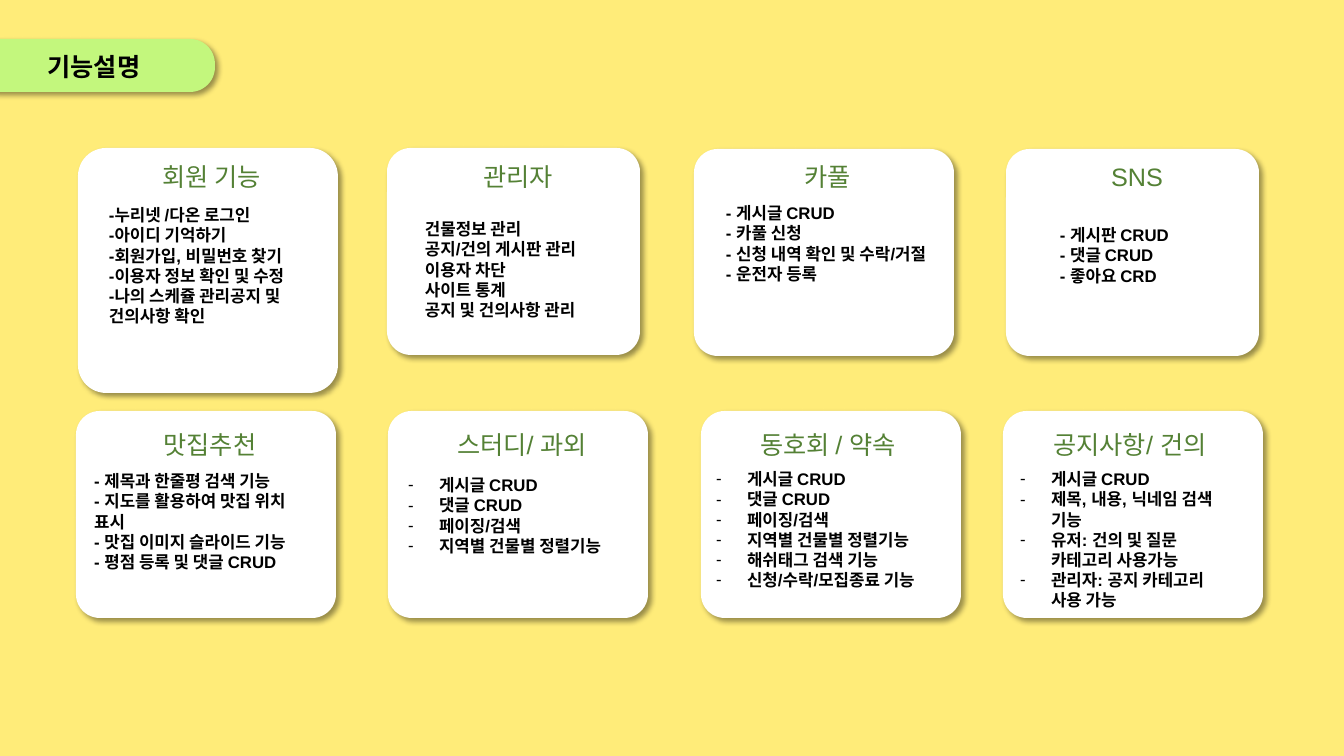
"""Build the feature overview slide: a title tab and eight feature cards."""
import lxml.etree
import pptx
import pptx.dml.color
import pptx.enum.shapes
import pptx.enum.text
import pptx.oxml.ns
import pptx.util

PX = 12192000 / 1344
COLORS = {"page": "FFEC79", "tab": "C3F77D", "card": "FFFFFF",
          "heading": "548135", "text": "000000"}
INDENT = 31
CARD_RADIUS = 0.115
qn = pptx.oxml.ns.qn
ALIGN = pptx.enum.text.PP_ALIGN


def write(target, box, lines, size=12, color="text", bold=False, align=ALIGN.LEFT, bullet=None):
    """Place a text shape in a px box and fill it with formatted paragraphs."""
    target.left, target.top, target.width, target.height = [round(v * PX) for v in box]
    frame = target.text_frame
    frame.word_wrap = True
    frame.auto_size = pptx.enum.text.MSO_AUTO_SIZE.SHAPE_TO_FIT_TEXT
    frame.vertical_anchor = pptx.enum.text.MSO_ANCHOR.TOP
    frame.margin_left = frame.margin_right = pptx.util.Inches(0.1)
    frame.margin_top = frame.margin_bottom = pptx.util.Inches(0.05)
    for number, line in enumerate(lines):
        paragraph = frame.add_paragraph() if number else frame.paragraphs[0]
        paragraph.alignment = align
        paragraph.space_before = pptx.util.Pt(0)
        properties = paragraph._p.get_or_add_pPr()
        indent = round(INDENT * PX) if bullet else 0
        properties.set("marL", str(indent))
        properties.set("indent", str(-indent))
        if bullet:
            tint = lxml.etree.SubElement(properties, qn("a:buClr"))
            lxml.etree.SubElement(tint, qn("a:srgbClr"), val=COLORS[color])
            lxml.etree.SubElement(properties, qn("a:buFont"), typeface="Arial")
            lxml.etree.SubElement(properties, qn("a:buChar"), char=bullet)
        else:
            lxml.etree.SubElement(properties, qn("a:buNone"))
        run = paragraph.add_run()
        run.text = line
        run.font.name = "Arial"
        run.font.size = pptx.util.Pt(size)
        run.font.bold = bold
        run.font.color.rgb = pptx.dml.color.RGBColor.from_string(COLORS[color])


def add_panel(shapes, box, color, radius):
    """Add a rounded panel with a soft shadow."""
    panel = shapes.add_shape(pptx.enum.shapes.MSO_SHAPE.ROUNDED_RECTANGLE,
                             *[round(v * PX) for v in box])
    panel.adjustments[0] = radius
    panel.fill.solid()
    panel.fill.fore_color.rgb = pptx.dml.color.RGBColor.from_string(COLORS[color])
    panel.line.fill.background()
    panel.shadow.inherit = False
    effects = panel.element.spPr.find(qn("a:effectLst"))
    shadow = lxml.etree.SubElement(effects, qn("a:outerShdw"), blurRad="50800", dist="38100",
                                   dir="2700000", algn="tl", rotWithShape="0")
    shade = lxml.etree.SubElement(shadow, qn("a:srgbClr"), val=COLORS["text"])
    lxml.etree.SubElement(shade, qn("a:alpha"), val="40000")


deck = pptx.Presentation()
deck.slide_width, deck.slide_height = round(1344 * PX), round(756 * PX)
slide = deck.slides.add_slide(deck.slide_layouts.get_by_name("Comparison"))
slide.background.fill.solid()
slide.background.fill.fore_color.rgb = pptx.dml.color.RGBColor.from_string(COLORS["page"])
shapes = slide.shapes

add_panel(shapes, (-27, 39, 242, 53), "tab", 0.468)
title = shapes.title
shapes.element.append(title.element)
write(title, (21, 46, 146, 40), ["기능설명"], size=18, bold=True, align=ALIGN.CENTER)

upper_features = [
    ("회원 기능", 117, (78, 148, 260, 245), (99, 200, 226, 132),
     ["-누리넷 /다온 로그인", "-아이디 기억하기", "-회원가입, 비밀번호 찾기",
      "-이용자 정보 확인 및 수정", "-나의 스케쥴 관리공지 및 건의사항 확인"]),
    ("관리자", 423, (387, 148, 253, 207), (415, 214, 226, 112),
     ["건물정보 관리", "공지/건의 게시판 관리", "이용자 차단", "사이트 통계",
      "공지 및 건의사항 관리"]),
    ("카풀", 733, (694, 149, 260, 207), (716, 198, 226, 112),
     ["- 게시글 CRUD", "- 카풀 신청", "- 신청 내역 확인 및 수락/거절", "- 운전자 등록"]),
    ("SNS", 1042, (1006, 149, 253, 207), (1050, 220, 226, 72),
     ["- 게시판 CRUD", "- 댓글 CRUD", "- 좋아요 CRD"]),
]
for heading, heading_left, card, list_box, lines in upper_features:
    add_panel(shapes, card, "card", CARD_RADIUS)
    write(shapes.add_textbox(0, 0, 0, 0), (heading_left, 156, 190, 40), [heading],
          size=18, color="heading", align=ALIGN.CENTER)
    write(shapes.add_textbox(0, 0, 0, 0), list_box, lines, bold=True)

lower_features = [
    ("맛집추천", 115, 76, (84, 466, 239, 112), None,
     ["- 제목과 한줄평 검색 기능", "- 지도를 활용하여 맛집 위치 표시",
      "- 맛집 이미지 슬라이드 기능", "- 평점 등록 및 댓글 CRUD"]),
    ("스터디/ 과외", 427, 388, (398, 470, 239, 92), "-",
     ["게시글 CRUD", "댓글 CRUD", "페이징/검색", "지역별 건물별 정렬기능"]),
    ("동호회 / 약속", 733, 701, (706, 464, 257, 132), "-",
     ["게시글 CRUD", "댓글 CRUD", "페이징/검색", "지역별 건물별 정렬기능",
      "해쉬태그 검색 기능", "신청/수락/모집종료 기능"]),
    ("공지사항/ 건의", 1035, 1003, (1010, 464, 239, 152), "-",
     ["게시글 CRUD", "제목, 내용, 닉네임 검색 기능", "유저: 건의 및 질문 카테고리 사용가능",
      "관리자: 공지 카테고리 사용 가능"]),
]
bodies = [slide.placeholders[idx] for idx in (1, 2, 3, 4)]
for body, (heading, heading_left, left, list_box, bullet, lines) in zip(bodies, lower_features):
    add_panel(shapes, (left, 411, 260, 207), "card", CARD_RADIUS)
    write(shapes.add_textbox(0, 0, 0, 0), (heading_left, 424, 190, 40), [heading],
          size=18, color="heading", align=ALIGN.CENTER)
    shapes.element.append(body.element)
    write(body, list_box, lines, bold=True, bullet=bullet)

deck.save("out.pptx")
